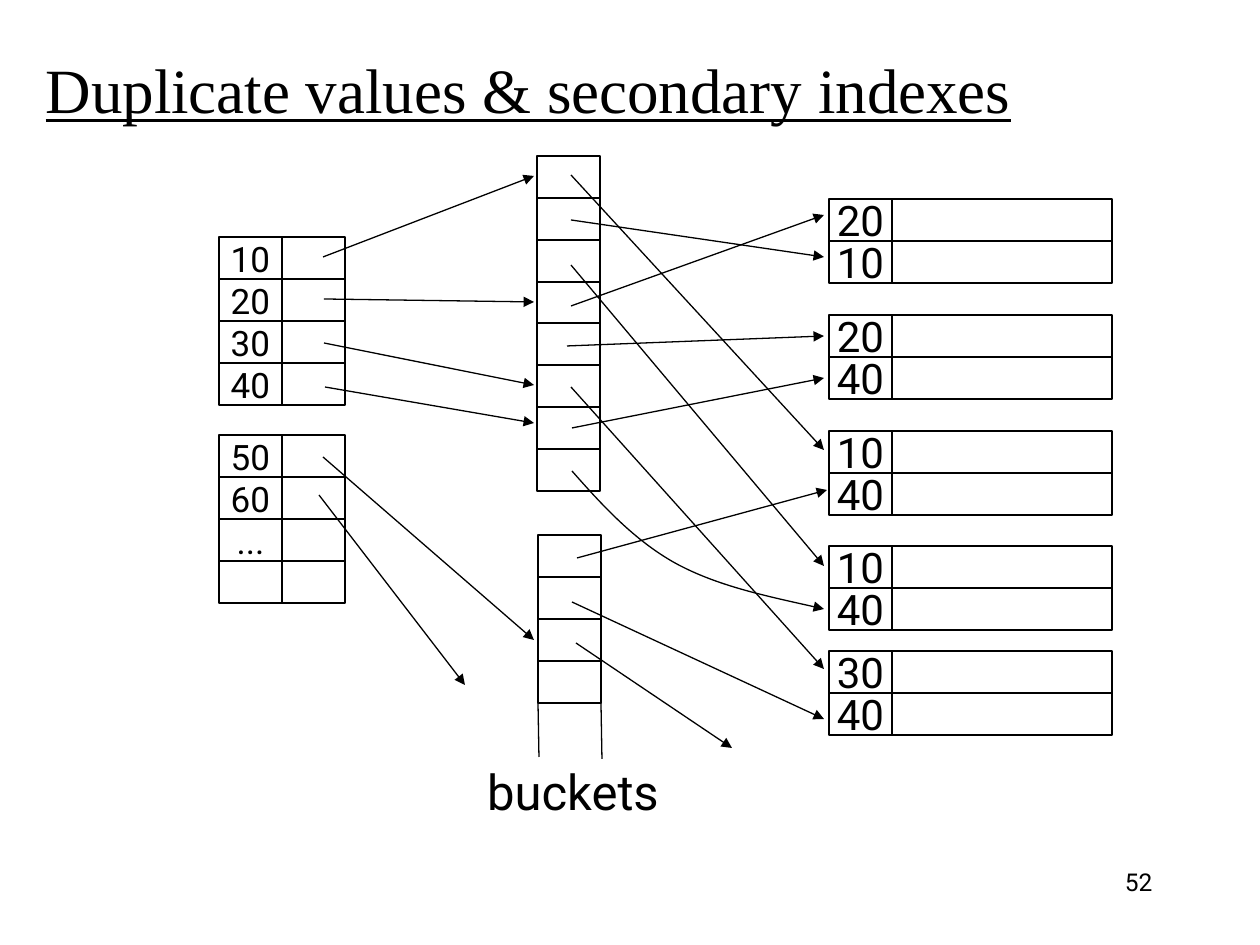
from lxml.etree import SubElement
from pptx import Presentation
from pptx.dml.color import RGBColor
from pptx.enum.shapes import MSO_CONNECTOR, MSO_SHAPE
from pptx.enum.text import MSO_ANCHOR, MSO_AUTO_SIZE, PP_ALIGN
from pptx.oxml.ns import qn
from pptx.util import Pt

PX = 914400 / 126
COLORS = {"ink": "000000", "paper": "FFFFFF"}
CELL_WIDTH, CELL_HEIGHT = 63, 42
FIELD_WIDTH = 220

INDEX_BLOCKS = [
    (219, 237, ["10", "20", "30", "40"]),
    (219, 435, ["50", "60", "...", ""]),
]
BUCKET_BLOCKS = [(537, 156), (537, 323), (538, 535)]
RECORD_BLOCKS = [
    (829, 199, ["20", "10"]),
    (829, 315, ["20", "40"]),
    (829, 431, ["10", "40"]),
    (829, 546, ["10", "40"]),
    (829, 651, ["30", "40"]),
]
BUCKET_TAILS = [(538, 702, 539, 757), (601, 703, 602, 759)]
INDEX_POINTERS = [
    (323, 257, 534, 176),
    (324, 299, 534, 302),
    (324, 343, 534, 385),
    (325, 387, 534, 423),
    (323, 457, 534, 640),
    (319, 495, 465, 685),
]
RECORD_POINTERS = [
    (571, 220, 824, 257),
    (571, 175, 824, 450),
    (571, 265, 824, 566),
    (571, 306, 824, 215),
    (567, 346, 824, 336),
    (571, 387, 824, 669),
    (572, 428, 824, 378),
    (572, 602, 824, 719),
    (577, 558, 827, 490),
    (576, 643, 732, 748),
]
CURVE = [(572, 471), (602, 505), (634, 540), (675, 563), (717, 586), (771, 597), (824, 609)]


def emu(*lengths):
    """Turn px lengths into EMU."""
    return [round(length * PX) for length in lengths]


def color(name):
    """Look up a named colour."""
    return RGBColor.from_string(COLORS[name])


def write(shape, text, size, align, anchor=MSO_ANCHOR.MIDDLE, wrap=False,
          auto_size=MSO_AUTO_SIZE.NONE, name="Roboto", underline=None):
    """Put one formatted line of text into a shape."""
    frame = shape.text_frame
    for key, value in {"word_wrap": wrap, "vertical_anchor": anchor, "auto_size": auto_size}.items():
        setattr(frame, key, value)
    para = frame.paragraphs[0]
    para.alignment = align
    span = para.add_run()
    span.text = text
    for key, value in {"name": name, "size": Pt(size), "underline": underline}.items():
        setattr(span.font, key, value)
    span.font.color.rgb = color("ink")


def outline(shape):
    """Give a shape or connector the thin ink line."""
    shape.line.color.rgb = color("ink")
    shape.line.width = Pt(0.75)


def add_arrowhead(shape):
    """Put a triangle at the end of a line."""
    SubElement(shape.line._get_or_add_ln(), qn("a:tailEnd"), type="triangle")


def add_cell(group, box, text, size):
    """Draw one bordered cell."""
    cell = group.shapes.add_shape(MSO_SHAPE.RECTANGLE, *emu(*box))
    cell.shadow.inherit = False
    cell.fill.solid()
    cell.fill.fore_color.rgb = color("paper")
    outline(cell)
    if text:
        write(cell, text, size, PP_ALIGN.CENTER)


def add_block(page, left, top, rows, widths, size=20):
    """Draw a grouped grid of cells from its top-left corner."""
    group = page.shapes.add_group_shape()
    for row, texts in enumerate(rows):
        for column, text in enumerate(texts):
            box = (left + sum(widths[:column]), top + row * CELL_HEIGHT, widths[column], CELL_HEIGHT)
            add_cell(group, box, text, size)


def add_line(page, ends, arrow=True):
    """Draw a straight line, with an arrowhead if asked."""
    line = page.shapes.add_connector(MSO_CONNECTOR.STRAIGHT, *emu(*ends))
    outline(line)
    if arrow:
        add_arrowhead(line)
    SubElement(line._element.spPr, qn("a:effectLst"))


def add_curve(page, points):
    """Draw an arrow along cubic curves through the given nodes and handles."""
    builder = page.shapes.build_freeform(*points[0], scale=PX)
    builder.add_line_segments(points[1:], close=False)
    curve = builder.convert_to_shape()
    segments = list(curve._element.iter(qn("a:lnTo")))
    trail = segments[0].getparent()
    for start in range(0, len(segments), 3):
        bezier = SubElement(trail, qn("a:cubicBezTo"))
        for segment in segments[start:start + 3]:
            bezier.append(segment[0])
            trail.remove(segment)
    curve.fill.background()
    outline(curve)
    add_arrowhead(curve)
    curve.shadow.inherit = False


def add_title(page, box, text):
    """Place and format the title placeholder."""
    title = page.shapes.title
    for key, value in zip(("left", "top", "width", "height"), emu(*box)):
        setattr(title, key, value)
    write(title, text, 36, PP_ALIGN.LEFT, wrap=True, name="Times New Roman", underline=True)


def add_label(page, box, text, size, align, **settings):
    """Place a text box."""
    label = page.shapes.add_textbox(*emu(*box))
    write(label, text, size, align, **settings)


def main():
    """Build the slide and save the deck."""
    deck = Presentation()
    deck.slide_width, deck.slide_height = emu(1260, 945)
    page = deck.slides.add_slide(deck.slide_layouts[5])
    add_label(page, (903, 861, 262, 63), "52", 14, PP_ALIGN.RIGHT, anchor=MSO_ANCHOR.TOP, wrap=True)
    add_title(page, (33, 26, 1092, 125), "Duplicate values & secondary indexes")
    for left, top, keys in RECORD_BLOCKS:
        add_block(page, left, top, [(key, "") for key in keys], (CELL_WIDTH, FIELD_WIDTH), 24)
    for left, top, keys in INDEX_BLOCKS:
        add_block(page, left, top, [(key, "") for key in keys], (CELL_WIDTH, CELL_WIDTH))
    for left, top in BUCKET_BLOCKS:
        add_block(page, left, top, [("",)] * 4, (CELL_WIDTH,))
    for ends in BUCKET_TAILS:
        add_line(page, ends, arrow=False)
    for ends in INDEX_POINTERS + RECORD_POINTERS:
        add_line(page, ends)
    add_curve(page, CURVE)
    add_label(page, (471, 755, 204, 72), "buckets", 28, PP_ALIGN.CENTER,
              auto_size=MSO_AUTO_SIZE.SHAPE_TO_FIT_TEXT)
    deck.save("out.pptx")


if __name__ == "__main__":
    main()
